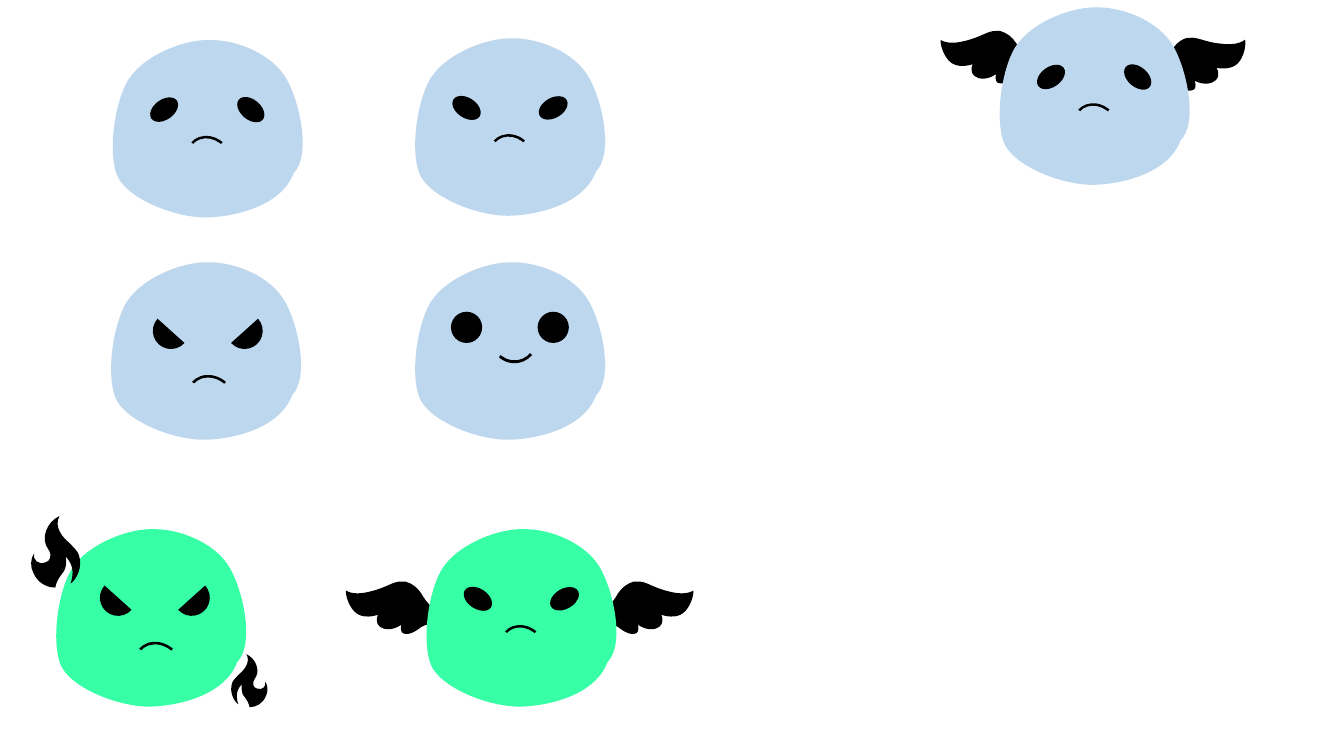
"""Build a slide of round blob characters with moods, wings and flames."""
import lxml.etree
import pptx
import pptx.dml.color
import pptx.enum.shapes
import pptx.oxml.ns
import pptx.util

BLACK, BLUE, GREEN = "000000", "BDD7EE", "36FFA5"
OUTLINE_UNIT = 0.72

BODY = (188, 176, (6, 137), [
    [(-6, 113), (3, 53), (20, 34)], [(36, 14), (72, -1), (98, 0)],
    [(124, 0), (159, 14), (173, 39)], [(187, 64), (197, 115), (180, 132)],
    [(168, 164), (124, 175), (95, 176)], [(66, 177), (19, 160), (6, 137)],
])
WING = (88, 53, (33, 0), [
    [(32, 0), (30, 0), (29, 0)], [(22, 2), (17, 6), (13, 12)],
    [(13, 12), (10, 18), (5, 23)], [(4, 25), (2, 27), (0, 27)],
    [(1, 35)], [(7, 43)],
    [(8, 42), (12, 45), (13, 45)], [(13, 45), (22, 53), (29, 52)],
    [(33, 52), (34, 48), (33, 43)], [(42, 49), (50, 48), (54, 45)],
    [(60, 40), (56, 33), (56, 33)], [(56, 33), (67, 37), (75, 33)],
    [(82, 30), (88, 18), (88, 9)], [(81, 13), (72, 12), (64, 10)],
    [(47, 6), (42, 0), (33, 0)],
])
FLAME = (49, 71, (3, 37), [
    [(1, 43), (7, 49), (14, 46)], [(19, 45), (21, 39), (17, 33)],
    [(9, 23), (15, 6), (28, 0)], [(22, 11), (32, 22), (37, 26)],
    [(42, 31), (46, 35), (47, 38)], [(52, 51), (44, 64), (39, 67)],
    [(41, 61), (44, 50), (34, 40)], [(34, 40), (37, 51), (30, 58)],
    [(24, 66), (24, 71), (24, 71)], [(15, 71), (6, 66), (2, 56)],
    [(-1, 51), (-1, 42), (3, 37)],
])

LEFT_EYE, RIGHT_EYE, EYE_TOP = 25.9, 87.8, 42.5
OVAL = (22.3, 14.4)
MOUTH_ARC = (109.83, 165.01, 0.06)
FROWN = ("BLOCK_ARC", 52.6, 69.3, 33.1, 28.8, 37, MOUTH_ARC)
SMILE = ("BLOCK_ARC", 54.7, 38.9, 33.1, 33.1, 217.2, MOUTH_ARC)
WIDE_FROWN = ("BLOCK_ARC", 54, 81.4, 36, 31, 37, MOUTH_ARC)
MOODS = {
    "sad": [("OVAL", LEFT_EYE, EYE_TOP, *OVAL, 324.4, ()),
            ("OVAL", RIGHT_EYE, EYE_TOP, *OVAL, 40.1, ()), FROWN],
    "stern": [("OVAL", LEFT_EYE, EYE_TOP, *OVAL, 33.4, ()),
              ("OVAL", RIGHT_EYE, EYE_TOP, *OVAL, 329.8, ()), FROWN],
    "happy": [("OVAL", LEFT_EYE, 35.3, 22.3, 22.3, 0, ()),
              ("OVAL", RIGHT_EYE, 35.3, 22.3, 22.3, 0, ()), SMILE],
    "angry": [("CHORD", 30.2, 36, 25.9, 25.9, 312.1, (53.8, 162)),
              ("CHORD", 82.8, 36, 25.9, 25.9, 47.9, (162, 54.2)), WIDE_FROWN],
}


def paint(shape, colour, format_values):
    """Fill a shape without line or shadow and set further attributes."""
    shape.shadow.inherit = False
    shape.line.fill.background()
    shape.fill.solid()
    shape.fill.fore_color.rgb = pptx.dml.color.RGBColor.from_string(colour)
    for name, value in format_values.items():
        setattr(shape, name, value)


def add_step(track, tag, points):
    """Append one drawing step with its points to a freeform track."""
    step = lxml.etree.SubElement(track, pptx.oxml.ns.qn(tag))
    for x, y in points:
        lxml.etree.SubElement(step, pptx.oxml.ns.qn("a:pt"), x=str(x), y=str(y))


def add_outline(slide, outline, left, top, colour=BLACK, scale=1,
                mirrored=False, rotation=0):
    """Draw a curved outline with its frame at left and top."""
    width, height, start, segments = outline
    unit = pptx.util.Pt(OUTLINE_UNIT) * scale
    builder = slide.shapes.build_freeform(0, 0, scale=unit)
    builder.add_line_segments([(width, 0), (width, height), (0, height)])
    shape = builder.convert_to_shape(pptx.util.Pt(left), pptx.util.Pt(top))
    track = next(shape.element.iter(pptx.oxml.ns.qn("a:path")))
    for corner in list(track):
        track.remove(corner)
    steps = [("a:moveTo", [start])]
    steps += [("a:cubicBezTo" if len(segment) == 3 else "a:lnTo", segment)
              for segment in segments]
    for tag, points in steps + [("a:close", [])]:
        add_step(track, tag,
                 [(width - x if mirrored else x, y) for x, y in points])
    paint(shape, colour, {"rotation": rotation})


def add_feature(slide, kind, left, top, width, height, rotation, adjustments):
    """Draw one black eye or mouth."""
    frame = [pptx.util.Pt(length) for length in (left, top, width, height)]
    preset = getattr(pptx.enum.shapes.MSO_SHAPE, kind)
    feature = slide.shapes.add_shape(preset, *frame)
    for index, value in enumerate(adjustments):
        feature.adjustments[index] = value
    paint(feature, BLACK, {"rotation": rotation})


def add_blob(slide, left, top, colour, mood, face_shift=0):
    """Draw a body and the face for its mood."""
    add_outline(slide, BODY, left, top, colour)
    for kind, x, y, *rest in MOODS[mood]:
        add_feature(slide, kind, left + x + face_shift, top + y, *rest)


def main():
    """Build and save the slide."""
    deck = pptx.Presentation()
    deck.slide_width, deck.slide_height = pptx.util.Pt(960), pptx.util.Pt(540)
    slide = deck.slides.add_slide(deck.slide_layouts[6])

    add_outline(slide, WING, 432, 415.4)
    add_outline(slide, WING, 247, 415.4, mirrored=True)
    add_blob(slide, 39.8, 378, GREEN, "angry", face_shift=1.4)
    add_blob(slide, 304.3, 378, GREEN, "stern")
    add_outline(slide, FLAME, 22.3, 368.6)
    add_outline(slide, FLAME, 164.9, 467.3, scale=0.74, mirrored=True)

    add_blob(slide, 80.2, 28.6, BLUE, "sad")
    add_blob(slide, 79, 187.4, BLUE, "angry")
    add_blob(slide, 296.2, 187.4, BLUE, "happy")
    add_blob(slide, 296.2, 27.4, BLUE, "stern")

    add_outline(slide, WING, 828, 25.9, rotation=352.5)
    add_outline(slide, WING, 671.8, 22.1, mirrored=True)
    add_blob(slide, 713.7, 5.3, BLUE, "sad")

    deck.save("out.pptx")


if __name__ == "__main__":
    main()
